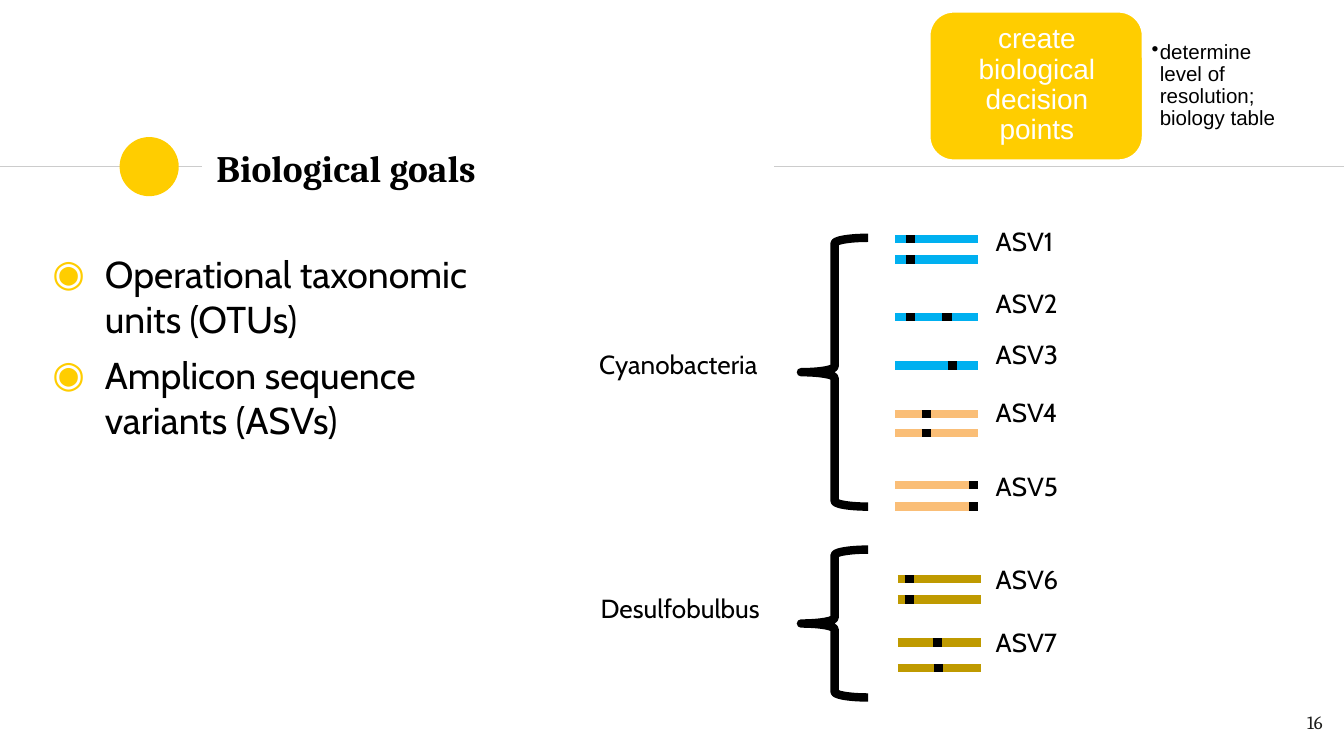
from dataclasses import dataclass

from lxml import etree
from pptx import Presentation
from pptx.dml.color import RGBColor
from pptx.enum import shapes as shp, text as txt
from pptx.oxml import ns
from pptx.util import Inches, Pt

BLACK = RGBColor(0x00, 0x00, 0x00)
WHITE = RGBColor(0xFF, 0xFF, 0xFF)
INK = RGBColor(0x1D, 0x1D, 0x1B)
RULE_GREY = RGBColor(0xCC, 0xCC, 0xCC)
YELLOW = RGBColor(0xFF, 0xCD, 0x00)
BLUE = RGBColor(0x00, 0xB0, 0xF0)
ORANGE = RGBColor(0xFA, 0xBE, 0x77)
OLIVE = RGBColor(0xBF, 0x9A, 0x00)

SLIDE_WIDTH = 10
SLIDE_HEIGHT = SLIDE_WIDTH * 9 / 16
READ_LENGTH, MARK_LENGTH, READ_WIDTH = 0.62, 0.07, 4.5
LABEL_LEFT = 7.31


@dataclass
class Read:
    y: float
    marks: tuple[float, ...]  # left ends of the variant positions


@dataclass
class Variant:
    name: str
    top: float
    left: float
    color: RGBColor
    reads: tuple[Read, ...]


@dataclass
class Taxon:
    name: str
    left: float
    top: float
    brace_top: float
    brace_height: float


VARIANTS = (
    Variant("ASV1", 1.58, 6.66, BLUE, (Read(1.78, (6.74,)), Read(1.93, (6.74,)))),
    Variant("ASV2", 2.04, 6.66, BLUE, (Read(2.36, (6.74, 7.01)),)),
    Variant("ASV3", 2.42, 6.66, BLUE, (Read(2.72, (7.05,)),)),
    Variant("ASV4", 2.85, 6.66, ORANGE, (Read(3.08, (6.86,)), Read(3.22, (6.86,)))),
    Variant("ASV5", 3.40, 6.66, ORANGE, (Read(3.61, (7.21,)), Read(3.77, (7.21,)))),
    Variant("ASV6", 4.09, 6.68, OLIVE, (Read(4.31, (6.73,)), Read(4.46, (6.73,)))),
    Variant("ASV7", 4.56, 6.68, OLIVE, (Read(4.78, (6.94,)), Read(4.97, (6.95,)))),
)
TAXA = (
    Taxon("Cyanobacteria", 4.36, 2.49, 1.77, 2.0),
    Taxon("Desulfobulbus", 4.37, 4.31, 4.09, 1.1),
)


def place(shape, left: float, top: float, width: float, height: float) -> None:
    shape.left, shape.top = Inches(left), Inches(top)
    shape.width, shape.height = Inches(width), Inches(height)


def set_frame(shape, inset: float = 0.1, anchor=txt.MSO_ANCHOR.TOP):
    frame = shape.text_frame
    frame.word_wrap = True
    frame.auto_size = txt.MSO_AUTO_SIZE.NONE
    frame.vertical_anchor = anchor
    frame.margin_left = frame.margin_right = Inches(inset)
    frame.margin_top = frame.margin_bottom = Inches(inset)
    return frame


def set_paragraph(paragraph, face: str, size: float, color: RGBColor = BLACK,
                  align=txt.PP_ALIGN.LEFT, before: float = 0,
                  spacing: float = 1.0, bold: bool = False) -> None:
    paragraph.alignment = align
    paragraph.space_before = Pt(before)
    paragraph.line_spacing = spacing
    font = paragraph.font
    font.name, font.size, font.bold = face, Pt(size), bold
    font.color.rgb = color


def add_bullet(paragraph, char: str, color: RGBColor, indent: float, hanging: float) -> None:
    properties = paragraph._p.get_or_add_pPr()
    properties.set("marL", str(Inches(indent)))
    properties.set("indent", str(-Inches(hanging)))
    bullet_color = etree.Element(ns.qn("a:buClr"))
    etree.SubElement(bullet_color, ns.qn("a:srgbClr"), val=str(color))
    bullet = etree.Element(ns.qn("a:buChar"), char=char)
    default_font = properties.find(ns.qn("a:defRPr"))
    for element in (bullet_color, bullet):
        default_font.addprevious(element)


def add_text(slide, text: str, left: float, top: float, width: float, height: float,
             inset: float = 0.1, anchor=txt.MSO_ANCHOR.TOP, **style):
    box = slide.shapes.add_textbox(Inches(left), Inches(top), Inches(width), Inches(height))
    paragraph = set_frame(box, inset, anchor).paragraphs[0]
    paragraph.text = text
    set_paragraph(paragraph, **style)
    return paragraph


def add_line(slide, left: float, right: float, y: float, color: RGBColor, width: float) -> None:
    line = slide.shapes.add_connector(
        shp.MSO_CONNECTOR.STRAIGHT, Inches(left), Inches(y), Inches(right), Inches(y))
    line.line.color.rgb = color
    line.line.width = Pt(width)
    etree.SubElement(line._element.spPr, ns.qn("a:effectLst"))


def add_preset(slide, kind, left: float, top: float, width: float, height: float,
               fill: RGBColor | None = None, outline: RGBColor | None = None,
               outline_width: float = 1) -> None:
    shape = slide.shapes.add_shape(
        kind, Inches(left), Inches(top), Inches(width), Inches(height))
    shape.shadow.inherit = False
    if fill is None:
        shape.fill.background()
    else:
        shape.fill.solid()
        shape.fill.fore_color.rgb = fill
    if outline is None:
        shape.line.fill.background()
    else:
        shape.line.color.rgb = outline
        shape.line.width = Pt(outline_width)


def add_variant(slide, variant: Variant) -> None:
    for read in variant.reads:
        add_line(slide, variant.left, variant.left + READ_LENGTH, read.y,
                 variant.color, READ_WIDTH)
        for mark in read.marks:
            add_line(slide, mark, mark + MARK_LENGTH, read.y, BLACK, READ_WIDTH)
    add_text(slide, variant.name, LABEL_LEFT, variant.top, 0.98, 0.59,
             face="Cabin", size=14, before=6)


def add_taxon(slide, taxon: Taxon) -> None:
    add_text(slide, taxon.name, taxon.left, taxon.top, 1.46, 0.59,
             face="Cabin", size=14, before=6)
    add_preset(slide, shp.MSO_SHAPE.LEFT_BRACE, 5.96, taxon.brace_top, 0.5,
               taxon.brace_height, outline=BLACK, outline_width=4.5)


def main() -> None:
    deck = Presentation()
    deck.slide_width, deck.slide_height = Inches(SLIDE_WIDTH), Inches(SLIDE_HEIGHT)
    slide = deck.slides.add_slide(deck.slide_layouts[1])

    # Header rule and dot
    add_line(slide, 0, 1.5, 1.24, RULE_GREY, 0.75)
    add_preset(slide, shp.MSO_SHAPE.OVAL, 0.89, 1.02, 0.44, 0.44, fill=YELLOW)
    add_line(slide, 5.76, SLIDE_WIDTH, 1.24, RULE_GREY, 0.75)

    # Title and goals
    title = slide.shapes.title
    place(title, 1.51, 1.01, 4.24, 0.48)
    heading = set_frame(title, anchor=txt.MSO_ANCHOR.MIDDLE).paragraphs[0]
    heading.text = "Biological goals"
    set_paragraph(heading, "Cambria", 20, bold=True)

    body = slide.placeholders[1]
    place(body, 0.18, 1.77, 3.75, 3.53)
    goals = set_frame(body)
    goals.text = "Operational taxonomic units (OTUs)\nAmplicon sequence variants (ASVs)"
    for goal in goals.paragraphs:
        set_paragraph(goal, "Cabin", 20, before=6)
        add_bullet(goal, "◉", YELLOW, 0.5, 0.39)

    # Workflow step
    add_preset(slide, shp.MSO_SHAPE.ROUNDED_RECTANGLE, 6.91, 0.08, 1.6, 1.12,
               fill=YELLOW, outline=WHITE, outline_width=2)
    add_text(slide, "create biological decision points", 6.97, 0.13, 1.49, 1.01,
             inset=0.06, anchor=txt.MSO_ANCHOR.MIDDLE, face="Arial", size=15,
             color=WHITE, align=txt.PP_ALIGN.CENTER, spacing=0.9)
    detail = add_text(slide, "determine level of resolution; biology table",
                      8.51, 0.19, 1.16, 0.9, inset=0.06, anchor=txt.MSO_ANCHOR.MIDDLE,
                      face="Arial", size=11, spacing=0.9)
    add_bullet(detail, "•", BLACK, 0.06, 0.06)

    # Sequence variants grouped by taxon
    for variant in VARIANTS:
        add_variant(slide, variant)
    for taxon in TAXA:
        add_taxon(slide, taxon)

    # Slide number
    add_text(slide, "16", 9.34, 5.19, 0.6, 0.43, face="Cambria", size=10,
             color=INK, align=txt.PP_ALIGN.RIGHT)

    deck.save("out.pptx")


if __name__ == "__main__":
    main()
